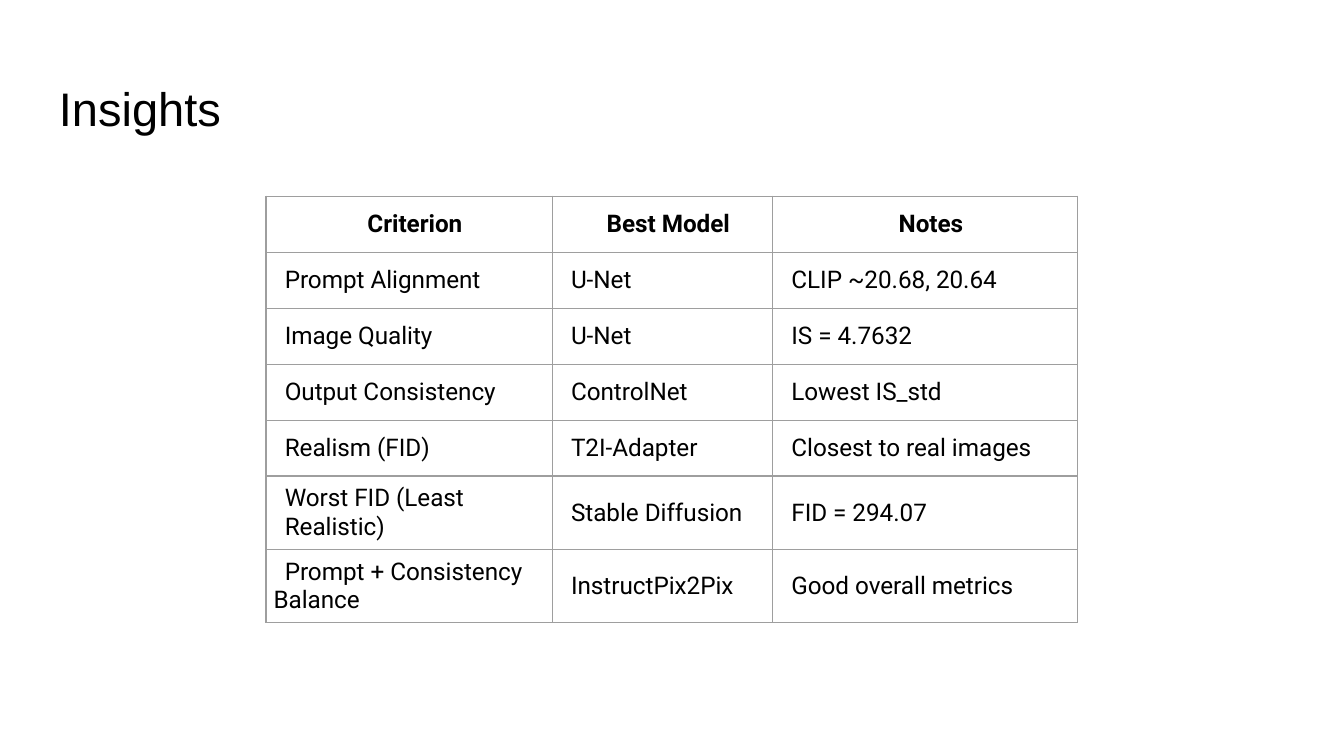
from lxml import etree
from pptx import Presentation
from pptx.dml.color import RGBColor
from pptx.enum.text import MSO_ANCHOR, PP_ALIGN
from pptx.oxml.ns import qn
from pptx.util import Inches, Pt

MIDDLE = MSO_ANCHOR.MIDDLE
LEFT, CENTER = PP_ALIGN.LEFT, PP_ALIGN.CENTER

COLORS = {"text": "000000", "border": "9E9E9E", "background": "FFFFFF"}
SLIDE_WIDTH = 10
SLIDE_HEIGHT = SLIDE_WIDTH * 9 / 16
COLUMN_WIDTHS = [2.13, 1.64, 2.27]
ROW_HEIGHT = 5 / 12
INSIGHTS = [
    ["Criterion", "Best Model", "Notes"],
    ["Prompt Alignment", "U-Net", "CLIP ~20.68, 20.64"],
    ["Image Quality", "U-Net", "IS = 4.7632"],
    ["Output Consistency", "ControlNet", "Lowest IS_std"],
    ["Realism (FID)", "T2I-Adapter", "Closest to real images"],
    ["Worst FID (Least Realistic)", "Stable Diffusion", "FID = 294.07"],
    ["Prompt + Consistency Balance", "InstructPix2Pix", "Good overall metrics"],
]
FIRST_LINE_ONLY = "Prompt + Consistency Balance"


class SlideBuilder:
    """Holds the style and the current slide, and adds elements to it."""

    def __init__(self, slide):
        self.slide = slide
        self.title_font, self.title_size = "Arial", 25.2
        self.table_font, self.table_size = "Roboto", 13
        self.cell_margin, self.cell_indent = 1 / 18, 1 / 12
        self.border_width = 0.75

    def background(self):
        fill = self.slide.background.fill
        fill.solid()
        fill.fore_color.rgb = RGBColor.from_string(COLORS["background"])

    def format_runs(self, paragraph, font_name, size, bold=False):
        for run in paragraph.runs:
            run.font.name = font_name
            run.font.size = Pt(size)
            run.font.bold = bold
            run.font.color.rgb = RGBColor.from_string(COLORS["text"])

    def set_margins(self, target, margin):
        for side in ("left", "top", "right", "bottom"):
            setattr(target, f"margin_{side}", Inches(margin))

    def title(self, text, left, top, width, height):
        shape = self.slide.shapes.add_textbox(
            Inches(left), Inches(top), Inches(width), Inches(height))
        text_frame = shape.text_frame
        text_frame.word_wrap = True
        text_frame.vertical_anchor = MIDDLE
        self.set_margins(text_frame, 0.1)
        text_frame.text = text
        self.format_runs(text_frame.paragraphs[0], self.title_font, self.title_size)

    def cell_borders(self, cell):
        properties = cell._tc.get_or_add_tcPr()
        for position, side in enumerate(("lnL", "lnR", "lnT", "lnB")):
            line = etree.Element(qn(f"a:{side}"), w=str(Pt(self.border_width)))
            fill = etree.SubElement(line, qn("a:solidFill"))
            etree.SubElement(fill, qn("a:srgbClr"), val=COLORS["border"])
            properties.insert(position, line)

    def cell(self, cell, text, header):
        cell.fill.background()
        cell.vertical_anchor = MIDDLE
        self.set_margins(cell, self.cell_margin)
        self.cell_borders(cell)
        cell.text_frame.text = text
        paragraph = cell.text_frame.paragraphs[0]
        paragraph.alignment = CENTER if header else LEFT
        indent_name = "indent" if text == FIRST_LINE_ONLY else "marL"
        paragraph._p.get_or_add_pPr().set(indent_name, str(Inches(self.cell_indent)))
        self.format_runs(paragraph, self.table_font, self.table_size, header)

    def table(self, rows, left, top, column_widths, row_height):
        table = self.slide.shapes.add_table(
            len(rows), len(column_widths), Inches(left), Inches(top),
            Inches(sum(column_widths)), Inches(row_height * len(rows))).table
        table.first_row = False
        table.horz_banding = False
        for column, width in zip(table.columns, column_widths):
            column.width = Inches(width)
        for row_index, texts in enumerate(rows):
            table.rows[row_index].height = Inches(row_height)
            for column_index, text in enumerate(texts):
                self.cell(table.cell(row_index, column_index), text, row_index == 0)


def main():
    presentation = Presentation()
    presentation.slide_width = Inches(SLIDE_WIDTH)
    presentation.slide_height = Inches(SLIDE_HEIGHT)
    builder = SlideBuilder(presentation.slides.add_slide(presentation.slide_layouts[6]))
    builder.background()
    builder.title("Insights", 0.34, 0.49, 9.32, 0.63)
    builder.table(INSIGHTS, 1.98, 1.46, COLUMN_WIDTHS, ROW_HEIGHT)
    presentation.save("out.pptx")


if __name__ == "__main__":
    main()
